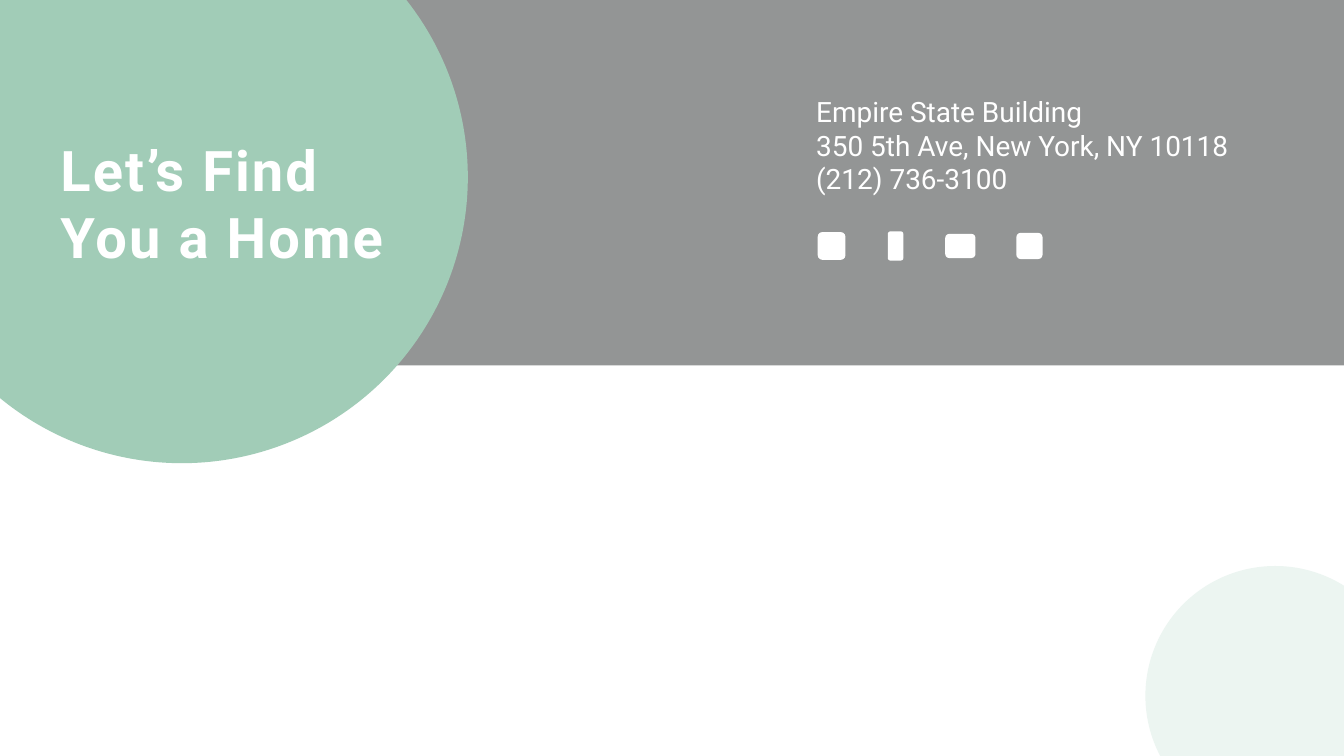
from pptx import Presentation
from pptx.dml.color import RGBColor
from pptx.enum.shapes import MSO_SHAPE
from pptx.enum.text import MSO_ANCHOR, MSO_AUTO_SIZE, PP_ALIGN
from pptx.util import Inches, Pt

RECTANGLE = MSO_SHAPE.RECTANGLE
ROUNDED = MSO_SHAPE.ROUNDED_RECTANGLE
OVAL = MSO_SHAPE.OVAL
TOP = MSO_ANCHOR.TOP
LEFT = PP_ALIGN.LEFT
NO_AUTOFIT = MSO_AUTO_SIZE.NONE

WHITE = RGBColor(0xFF, 0xFF, 0xFF)
GRAY = RGBColor(0x93, 0x95, 0x95)
GREEN = RGBColor(0xA1, 0xCC, 0xB7)
PALE_GREEN = RGBColor(0xEC, 0xF5, 0xF1)

WIDTH, HEIGHT = 26.66, 15
ICON_MIDDLE = 4.88
ICONS = [(16.22, 0.55, 0.55), (17.61, 0.31, 0.58), (18.75, 0.6, 0.48), (20.16, 0.52, 0.52)]


class Banner:
    font_name = "Roboto"
    font_color = WHITE

    def __init__(self, page):
        self.page = page

    def shape(self, kind, left, top, width, height, color):
        shape = self.page.shapes.add_shape(
            kind, Inches(left), Inches(top), Inches(width), Inches(height))
        shape.shadow.inherit = False
        shape.fill.solid()
        shape.fill.fore_color.rgb = color
        shape.line.fill.background()

    def circle(self, left, top, size, color):
        self.shape(OVAL, left, top, size, size, color)

    def fill_lines(self, box, lines, size, bold=False, spacing=0):
        frame = box.text_frame
        frame.word_wrap = True
        frame.auto_size = NO_AUTOFIT
        frame.vertical_anchor = TOP
        for index, line in enumerate(lines):
            para = frame.add_paragraph() if index else frame.paragraphs[0]
            para.alignment = LEFT
            para.font.name = self.font_name
            para.font.size = Pt(size)
            para.font.bold = bold
            para.font.color.rgb = self.font_color
            span = para.add_run()
            span.text = line
            if spacing:
                span._r.get_or_add_rPr().set("spc", str(spacing * 100))

    def title(self, left, top, width, height, lines):
        box = self.page.shapes.title
        box.left, box.top = Inches(left), Inches(top)
        box.width, box.height = Inches(width), Inches(height)
        box.element.getparent().append(box.element)
        self.fill_lines(box, lines, 80, bold=True, spacing=3)

    def text(self, left, top, width, height, lines):
        box = self.page.shapes.add_textbox(
            Inches(left), Inches(top), Inches(width), Inches(height))
        self.fill_lines(box, lines, 40)


def main():
    deck = Presentation()
    deck.slide_width, deck.slide_height = Inches(WIDTH), Inches(HEIGHT)
    banner = Banner(deck.slides.add_slide(deck.slide_layouts[5]))

    banner.shape(RECTANGLE, 0, 0, WIDTH, 7.25, GRAY)
    banner.circle(-2.07, -2.16, 11.35, GREEN)
    banner.title(1.1, 2.64, 7.3, 2.79, ["Let’s Find", "You a Home"])
    banner.text(16.09, 1.83, 9.59, 2.12, [
        "Empire State Building",
        "350 5th Ave, New York, NY 10118",
        "(212) 736-3100",
    ])
    for left, width, height in ICONS:
        banner.shape(ROUNDED, left, ICON_MIDDLE - height / 2, width, height, WHITE)
    banner.circle(22.72, 11.23, 5.15, PALE_GREEN)

    deck.save("out.pptx")


if __name__ == "__main__":
    main()
